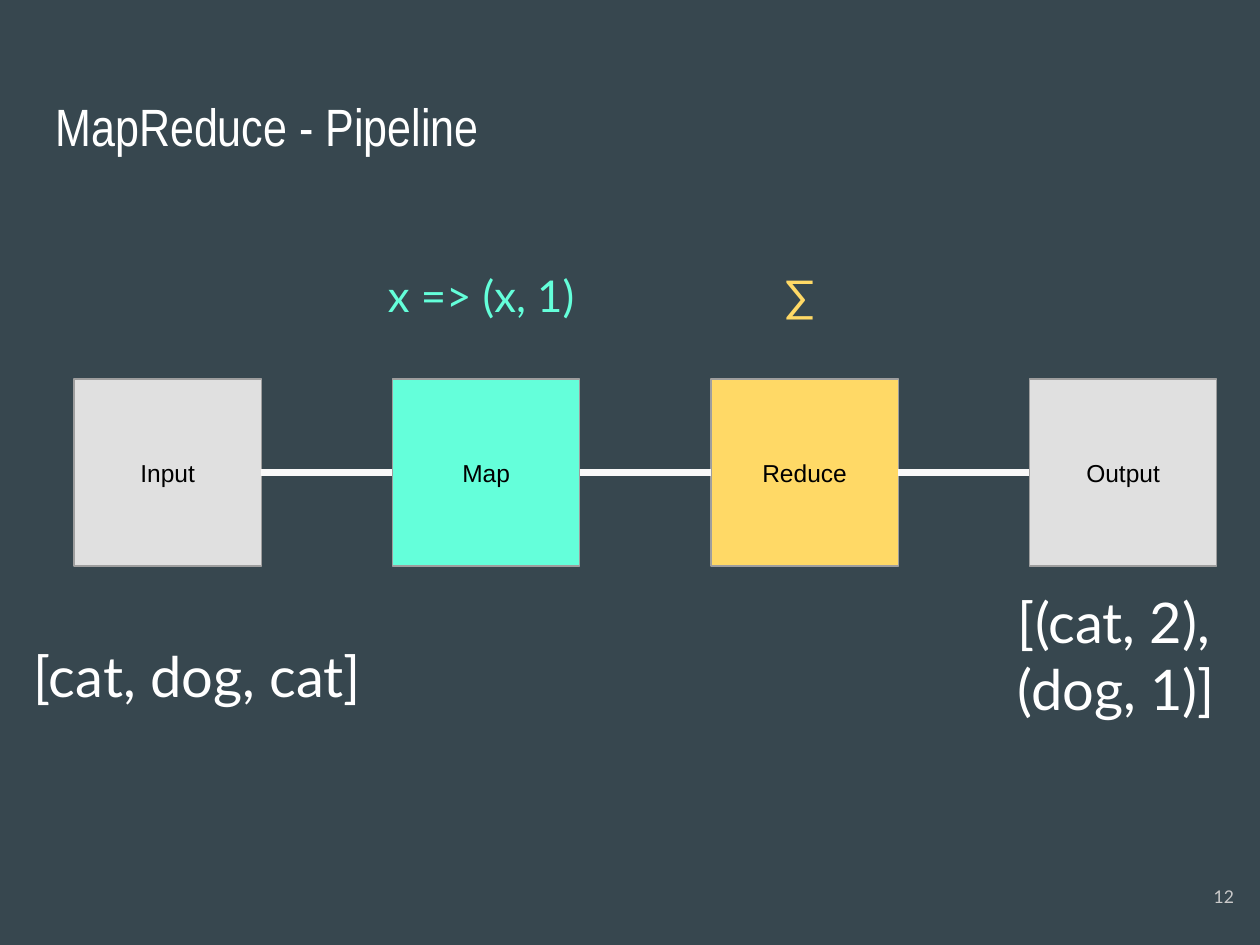
from lxml import etree
from pptx import Presentation
from pptx.dml.color import RGBColor
from pptx.enum.shapes import MSO_CONNECTOR, MSO_SHAPE
from pptx.enum.text import MSO_ANCHOR, PP_ALIGN
from pptx.oxml.ns import qn
from pptx.util import Pt

BACKGROUND = RGBColor(0x37, 0x47, 0x4F)
WHITE = RGBColor(0xFF, 0xFF, 0xFF)
BLACK = RGBColor(0x00, 0x00, 0x00)
GREY = RGBColor(0xE0, 0xE0, 0xE0)
OUTLINE = RGBColor(0x9E, 0x9E, 0x9E)
LINK = RGBColor(0xF9, 0xF9, 0xF9)
NUMBER = RGBColor(0xCA, 0xCA, 0xCA)
TEAL = RGBColor(0x64, 0xFF, 0xDA)
YELLOW = RGBColor(0xFF, 0xD9, 0x66)

LEFT, TOP, CENTER, RIGHT = 1, MSO_ANCHOR.TOP, PP_ALIGN.CENTER, PP_ALIGN.RIGHT
MIDDLE = MSO_ANCHOR.MIDDLE
RECTANGLE, STRAIGHT = MSO_SHAPE.RECTANGLE, MSO_CONNECTOR.STRAIGHT
LEFT_SIDE, RIGHT_SIDE = 1, 3
TITLE_ONLY = 5

# Pipeline row, in points
STAGES = [("Input", GREY), ("Map", TEAL), ("Reduce", YELLOW), ("Output", GREY)]
STAGE_LEFT, STAGE_TOP, STAGE_SIZE, STAGE_PITCH = 42.3, 216.5, 107, 182


def set_text(shape, text, size, color, font="Lato", align=PP_ALIGN.LEFT, anchor=TOP):
    frame = shape.text_frame
    frame.word_wrap = True
    frame.vertical_anchor = anchor
    frame.margin_left = frame.margin_right = Pt(7.2)
    frame.margin_top = frame.margin_bottom = Pt(7.2)
    frame.text = text
    paragraph = frame.paragraphs[0]
    paragraph.alignment = align
    paragraph.font.size = Pt(size)
    paragraph.font.name = font
    paragraph.font.color.rgb = color


def add_title(slide, text):
    title = slide.shapes.title
    title.left, title.top = Pt(24.5), Pt(46.8)
    title.width, title.height = Pt(671), Pt(59.8)
    set_text(title, text, 30, WHITE, "Arial Narrow")


def add_label(slide, box, text, size, color, **layout):
    label = slide.shapes.add_textbox(*map(Pt, box))
    set_text(label, text, size, color, **layout)


def add_stage(slide, index, name, color):
    stage = slide.shapes.add_shape(
        RECTANGLE, Pt(STAGE_LEFT + index * STAGE_PITCH), Pt(STAGE_TOP),
        Pt(STAGE_SIZE), Pt(STAGE_SIZE))
    stage.shadow.inherit = False
    stage.fill.solid()
    stage.fill.fore_color.rgb = color
    stage.line.color.rgb = OUTLINE
    stage.line.width = Pt(0.75)
    set_text(stage, name, 14, BLACK, "Arial", CENTER, MIDDLE)
    return stage


def add_link(slide, source, target):
    link = slide.shapes.add_connector(STRAIGHT, 0, 0, 0, 0)
    link.begin_connect(source, RIGHT_SIDE)
    link.end_connect(target, LEFT_SIDE)
    link.line.color.rgb = LINK
    link.line.width = Pt(4.5)
    etree.SubElement(link._element.spPr, qn("a:effectLst"))


def main():
    prs = Presentation()
    prs.slide_width, prs.slide_height = Pt(720), Pt(540)
    slide = prs.slides.add_slide(prs.slide_layouts[TITLE_ONLY])
    slide.background.fill.solid()
    slide.background.fill.fore_color.rgb = BACKGROUND

    add_title(slide, "MapReduce - Pipeline")

    # Slide number
    add_label(slide, (669, 491.8, 43.2, 41), "12", 10, NUMBER,
              align=RIGHT, anchor=MIDDLE)

    # Stages and the links between neighbours
    stages = [add_stage(slide, i, *stage) for i, stage in enumerate(STAGES)]
    for source, target in zip(stages, stages[1:]):
        add_link(slide, source, target)

    # Functions above the stages
    add_label(slide, (214.6, 146.2, 154, 46.8), "x => (x, 1)", 25, TEAL)
    add_label(slide, (441.4, 146.2, 36.7, 46.8), "∑", 25, YELLOW)

    # Sample data below the stages
    add_label(slide, (12.2, 359.3, 501, 82.8), "[cat, dog, cat]", 32, WHITE)
    add_label(slide, (574.6, 328.3, 136.8, 82.8), "[(cat, 2), (dog, 1)]", 32, WHITE)

    prs.save("out.pptx")


if __name__ == "__main__":
    main()
